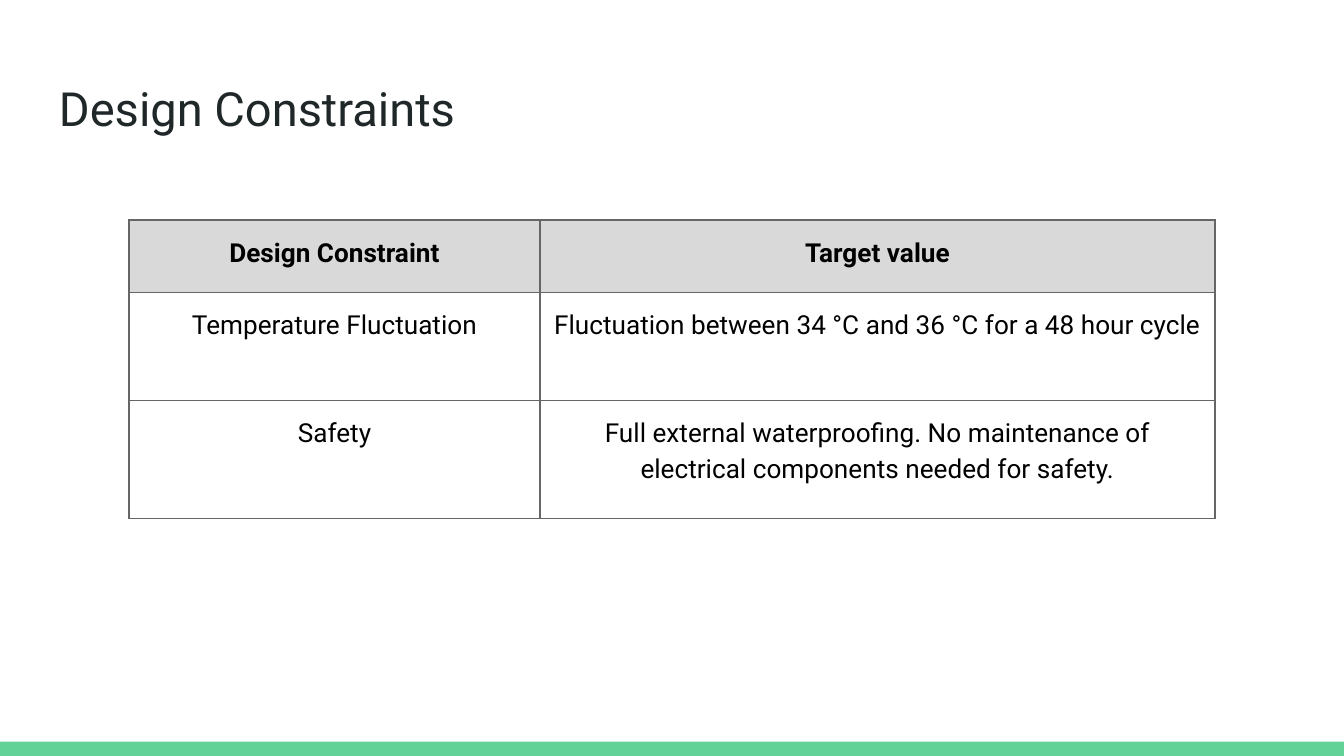
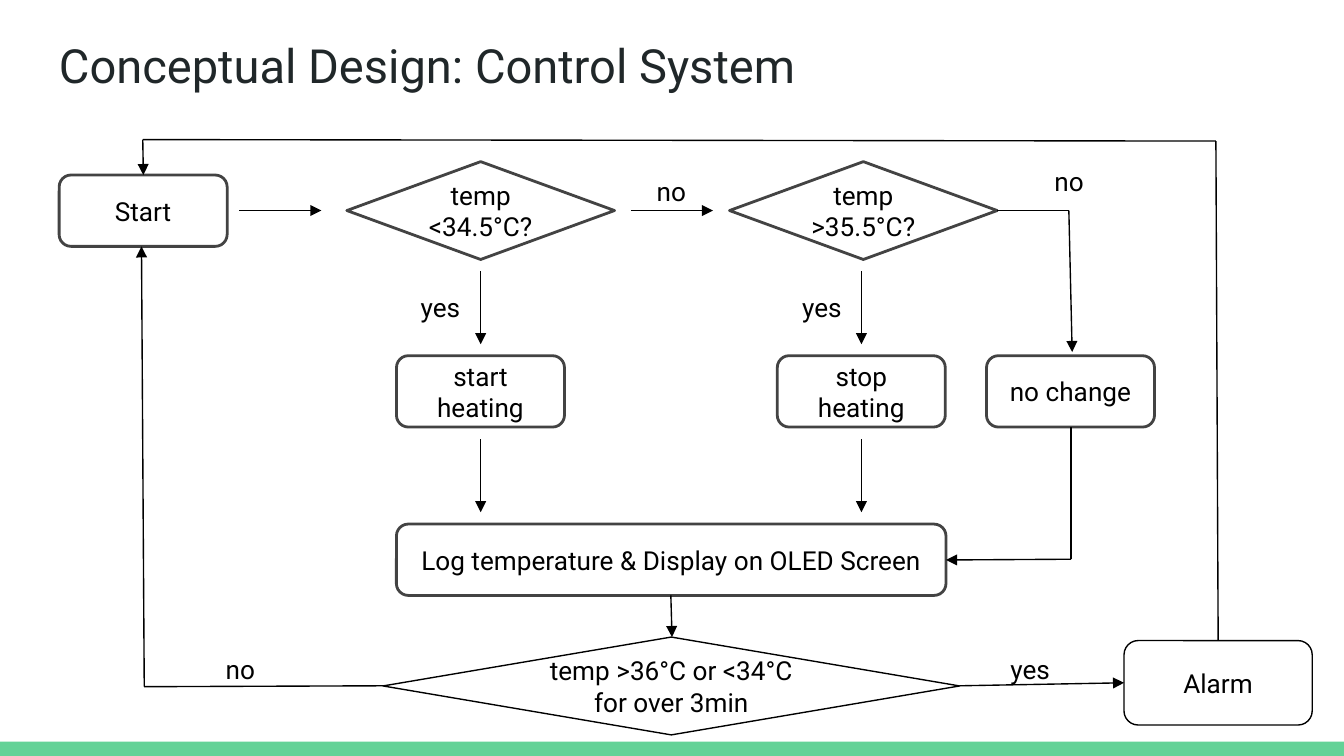
import pptx
import pptx.dml.color
import pptx.enum.shapes
import pptx.enum.text
import pptx.oxml
import pptx.util
from pptx.oxml import ns

Pt = pptx.util.Pt
ALIGN = pptx.enum.text.PP_ALIGN
ANCHOR = pptx.enum.text.MSO_ANCHOR
SHAPE = pptx.enum.shapes.MSO_SHAPE

GREEN = "63D297"
TITLE_INK = "202729"
BLACK = "000000"
DARK_GREY = "434343"
BORDER_GREY = "666666"
HEADER_GREY = "D9D9D9"
WHITE = "FFFFFF"


def color(hex_value):
    return pptx.dml.color.RGBColor.from_string(hex_value)


def write(frame, text, ink=BLACK, size=14, bold=False, align=ALIGN.CENTER, anchor=ANCHOR.TOP, spacing=1.0):
    """Fill a text frame with one formatted paragraph."""
    frame_format = {"word_wrap": True, "vertical_anchor": anchor}
    for side in ("left", "top", "right", "bottom"):
        frame_format["margin_" + side] = Pt(7.2)
    for name, value in frame_format.items():
        setattr(frame, name, value)
    para = frame.paragraphs[0]
    para.alignment = align
    para.line_spacing = spacing
    span = para.add_run()
    span.text = text
    for name, value in {"name": "Roboto", "size": Pt(size), "bold": bold}.items():
        setattr(span.font, name, value)
    span.font.color.rgb = color(ink)


deck = pptx.Presentation()
deck.slide_width = Pt(720)
deck.slide_height = Pt(405)

# Shared background, bottom band and title
pages = []
for title, title_top in [("Design Constraints", 35.3), ("Conceptual Design: Control System", 12.2)]:
    page = deck.slides.add_slide(deck.slide_layouts[6])
    page.background.fill.solid()
    page.background.fill.fore_color.rgb = color(WHITE)
    band = page.shapes.add_shape(SHAPE.RECTANGLE, Pt(0), Pt(397.4), Pt(720), Pt(7.6))
    band.shadow.inherit = False
    band.fill.solid()
    band.fill.fore_color.rgb = color(GREEN)
    band.line.fill.background()
    box = page.shapes.add_textbox(Pt(24.5), Pt(title_top), Pt(671), Pt(45.4))
    write(box.text_frame, title, ink=TITLE_INK, size=25.2, align=ALIGN.LEFT)
    pages.append(page)
constraints_page, control_page = pages

# Slide 1: table of constraints
constraints = [
    ("Design Constraint", "Target value"),
    ("Temperature Fluctuation", "Fluctuation between 34 °C and 36 °C for a 48 hour cycle"),
    ("Safety", "Full external waterproofing. No maintenance of electrical components needed for safety."),
]
column_widths = [220.2, 361.6]
row_heights = [38.7, 57.8, 63.2]
table = constraints_page.shapes.add_table(
    3, 2, Pt(69.1), Pt(118), Pt(sum(column_widths)), Pt(sum(row_heights))
).table
table.first_row = False
table.horz_banding = False
for column, width in zip(table.columns, column_widths):
    column.width = Pt(width)
for row, height in zip(table.rows, row_heights):
    row.height = Pt(height)

for row_index, texts in enumerate(constraints):
    is_header = row_index == 0
    for column_index, text in enumerate(texts):
        cell = table.cell(row_index, column_index)
        write(cell.text_frame, text, bold=is_header, spacing=1.15)
        for name, value in {
            "margin_left": Pt(5), "margin_right": Pt(5),
            "margin_top": Pt(7.2), "margin_bottom": Pt(7.2),
            "vertical_anchor": ANCHOR.TOP,
        }.items():
            setattr(cell, name, value)
        properties = cell._tc.get_or_add_tcPr()
        for edge in ("lnL", "lnR", "lnT", "lnB"):
            properties.append(pptx.oxml.parse_xml(
                f'<a:{edge} {ns.nsdecls("a")} w="{Pt(1)}"><a:solidFill>'
                f'<a:srgbClr val="{BORDER_GREY}"/></a:solidFill></a:{edge}>'
            ))
        if is_header:
            cell.fill.solid()
            cell.fill.fore_color.rgb = color(HEADER_GREY)
        else:
            cell.fill.background()

# Slide 2: flowchart steps
STEP_WIDTH, STEP_HEIGHT = 90, 38.2
DIAMOND_WIDTH, DIAMOND_HEIGHT = 143.4, 52.4
ACTION_TOP = 190.6
LOW_X, HIGH_X = 257.5, 461.5
TEST_Y = 112.8

rounded, diamond, decision = SHAPE.ROUNDED_RECTANGLE, SHAPE.DIAMOND, SHAPE.FLOWCHART_DECISION
steps = [
    (rounded, "Start", 31.7, 93.8, STEP_WIDTH, STEP_HEIGHT, DARK_GREY, 1.5),
    (diamond, "temp <34.5°C?", 185.8, 86.6, DIAMOND_WIDTH, DIAMOND_HEIGHT, DARK_GREY, 1.5),
    (diamond, "temp >35.5°C?", 390.8, 86.6, DIAMOND_WIDTH, DIAMOND_HEIGHT, DARK_GREY, 1.5),
    (rounded, "start heating", 212.4, ACTION_TOP, STEP_WIDTH, STEP_HEIGHT, DARK_GREY, 1.5),
    (rounded, "stop heating", 416.4, ACTION_TOP, STEP_WIDTH, STEP_HEIGHT, DARK_GREY, 1.5),
    (rounded, "no change", 528.5, ACTION_TOP, STEP_WIDTH, STEP_HEIGHT, DARK_GREY, 1.5),
    (rounded, "Log temperature & Display on OLED Screen", 212.4, 280.8, 294.4, STEP_HEIGHT, DARK_GREY, 1.5),
    (decision, "temp >36°C or <34°C for over 3min", 205.2, 341.3, 308.9, DIAMOND_HEIGHT, BLACK, 0.75),
    (rounded, "Alarm", 602.2, 343.2, 100.8, 45.2, BLACK, 0.75),
]
for kind, text, left, top, width, height, ink, weight in steps:
    step = control_page.shapes.add_shape(kind, Pt(left), Pt(top), Pt(width), Pt(height))
    step.shadow.inherit = False
    if text == "Alarm":
        step.fill.solid()
        step.fill.fore_color.rgb = color(WHITE)
    else:
        step.fill.background()
    step.line.color.rgb = color(ink)
    step.line.width = Pt(weight)
    write(step.text_frame, text, anchor=ANCHOR.MIDDLE)

# Each route is a chain of points; its last segment carries the arrowhead
routes = [
    [(128.2, TEST_Y), (172.2, TEST_Y)],
    [(338, TEST_Y), (382, TEST_Y)],
    [(534.2, TEST_Y), (572.6, TEST_Y), (574.4, 188.6)],
    [(573.8, 228.8), (573.8, 299.6), (506.8, 300)],
    [(359.4, 319), (360, 341.3)],
    [(514.1, 367.4), (602.2, 365.8)],
    [(205.2, 367.4), (77.3, 367.9), (75.8, 132)],
    [(652.6, 343.2), (651.4, 75.6), (76.5, 74.8), (76.8, 93.8)],
]
for center_x in (LOW_X, HIGH_X):
    for top in (145.4, 235.4):
        routes.append([(center_x, top), (center_x, top + 39)])

for route in routes:
    for start, end in zip(route, route[1:]):
        link = control_page.shapes.add_connector(
            pptx.enum.shapes.MSO_CONNECTOR.STRAIGHT, *map(Pt, start + end)
        )
        link.line.color.rgb = color(BLACK)
        link.line.width = Pt(0.75)
        if end == route[-1]:
            link.line._get_or_add_ln().append(
                pptx.oxml.parse_xml(f'<a:tailEnd {ns.nsdecls("a")} type="triangle"/>')
            )
        link._element.spPr.append(pptx.oxml.parse_xml(f'<a:effectLst {ns.nsdecls("a")}/>'))

# Answers beside the arrows
answers = [
    ("no", 547.9, 81.4, 49.7, ALIGN.CENTER),
    ("no", 334.8, 86.6, 49.7, ALIGN.CENTER),
    ("yes", 218.2, 149, 49.7, ALIGN.LEFT),
    ("yes", 422.6, 149, 49.7, ALIGN.LEFT),
    ("yes", 534.2, 342.7, 63.4, ALIGN.LEFT),
    ("no", 113.8, 342.7, 71.3, ALIGN.LEFT),
]
for text, left, top, width, align in answers:
    box = control_page.shapes.add_textbox(Pt(left), Pt(top), Pt(width), Pt(31.7))
    write(box.text_frame, text, align=align)

deck.save("out.pptx")
